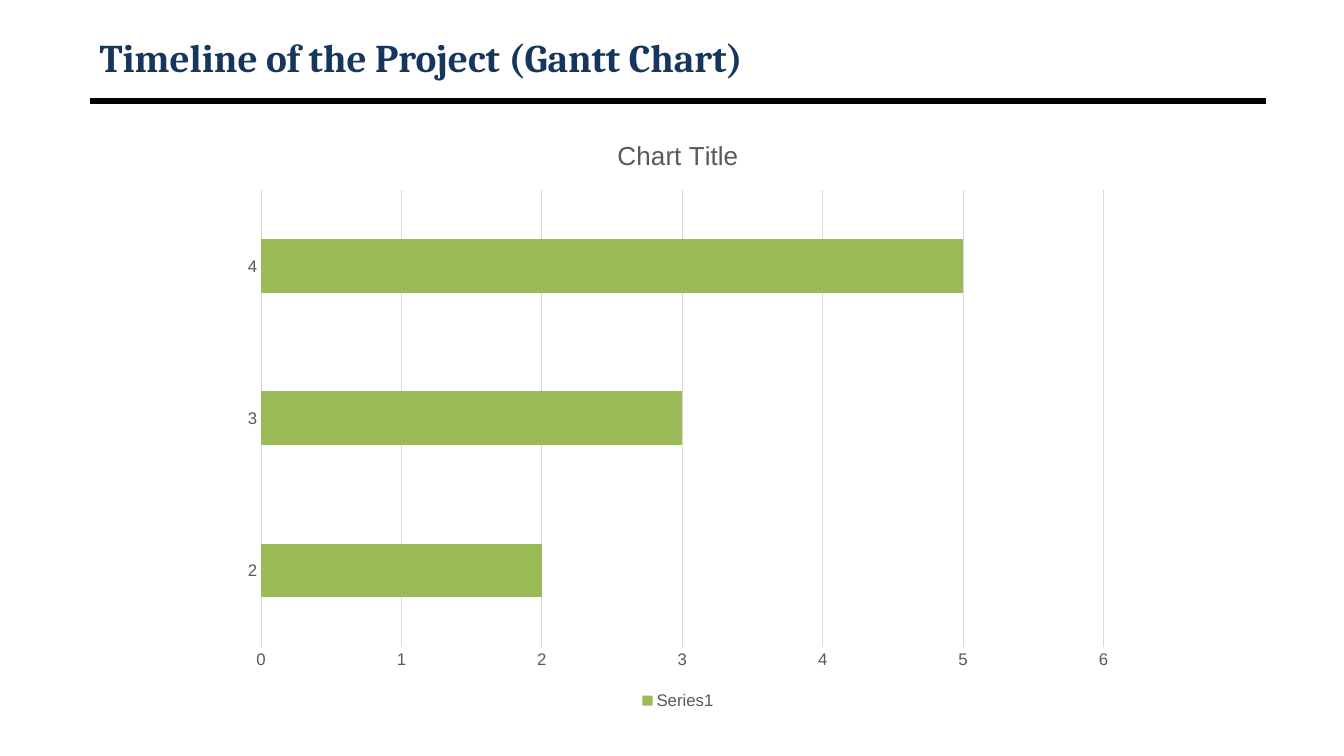
"""Build the project timeline slide with its bar chart."""
from lxml import etree
from pptx import Presentation
from pptx.chart.data import CategoryChartData
from pptx.dml.color import RGBColor
from pptx.enum.chart import XL_CHART_TYPE, XL_LEGEND_POSITION, XL_TICK_MARK
from pptx.enum.shapes import MSO_CONNECTOR
from pptx.enum.text import MSO_ANCHOR
from pptx.oxml.ns import qn
from pptx.util import Inches, Pt

BAR = XL_CHART_TYPE.BAR_CLUSTERED
BOTTOM = XL_LEGEND_POSITION.BOTTOM
NO_TICK = XL_TICK_MARK.NONE
STRAIGHT = MSO_CONNECTOR.STRAIGHT
MIDDLE = MSO_ANCHOR.MIDDLE


class Theme:
    navy = RGBColor(0x17, 0x36, 0x5D)
    black = RGBColor(0, 0, 0)
    green = RGBColor(0x9B, 0xBB, 0x59)
    gray = RGBColor(0x59, 0x59, 0x59)
    pale = RGBColor(0xD9, 0xD9, 0xD9)
    head_font = "Cambria"
    body_font = "Arial"
    head_size = Pt(28)
    chart_size = Pt(18.6)
    label_size = Pt(12)
    rule = Pt(4.5)
    hair = Pt(0.75)


def style(font, name, size, color, bold=False):
    font.name = name
    font.size = size
    font.bold = bold
    font.color.rgb = color


deck = Presentation()
deck.slide_width = Inches(13.33)
deck.slide_height = Inches(7.5)
slide = deck.slides.add_slide(deck.slide_layouts[6])

left, right, line_y = Inches(0.89), Inches(12.56), Inches(1)
rule = slide.shapes.add_connector(STRAIGHT, left, line_y, right, line_y)
rule.line.color.rgb = Theme.black
rule.line.width = Theme.rule
etree.SubElement(rule._element.spPr, qn("a:effectLst"))

title = slide.shapes.add_textbox(left, Inches(0.3), right - left, Inches(0.53))
frame = title.text_frame
frame.word_wrap = True
frame.vertical_anchor = MIDDLE
run = frame.paragraphs[0].add_run()
run.text = "Timeline of the Project (Gantt Chart)"
style(run.font, Theme.head_font, Theme.head_size, Theme.navy, True)

data = CategoryChartData()
data.categories = ["2", "3", "4"]
data.add_series("Series1", [2, 3, 5])
chart = slide.shapes.add_chart(
    BAR, Inches(2.28), Inches(1.15), Inches(8.89), Inches(5.93), data
).chart
style(chart.font, Theme.body_font, Theme.label_size, Theme.gray)

chart.has_title = True
run = chart.chart_title.text_frame.paragraphs[0].add_run()
run.text = "Chart Title"
style(run.font, Theme.body_font, Theme.chart_size, Theme.gray)
chart.chart_title.include_in_layout = False

chart.has_legend = True
chart.legend.position = BOTTOM
chart.legend.include_in_layout = False

plot = chart.plots[0]
plot.gap_width = 182
plot.vary_by_categories = False
fill = plot.series[0].format.fill
fill.solid()
fill.fore_color.rgb = Theme.green

cats, vals = chart.category_axis, chart.value_axis
for axis in (cats, vals):
    axis.major_tick_mark = NO_TICK
    axis.minor_tick_mark = NO_TICK
vals.minimum_scale, vals.maximum_scale, vals.major_unit = 0, 6, 1
vals.format.line.fill.background()
vals.has_major_gridlines = True
for line in (cats.format.line, vals.major_gridlines.format.line):
    line.color.rgb = Theme.pale
    line.width = Theme.hair

deck.save("out.pptx")
